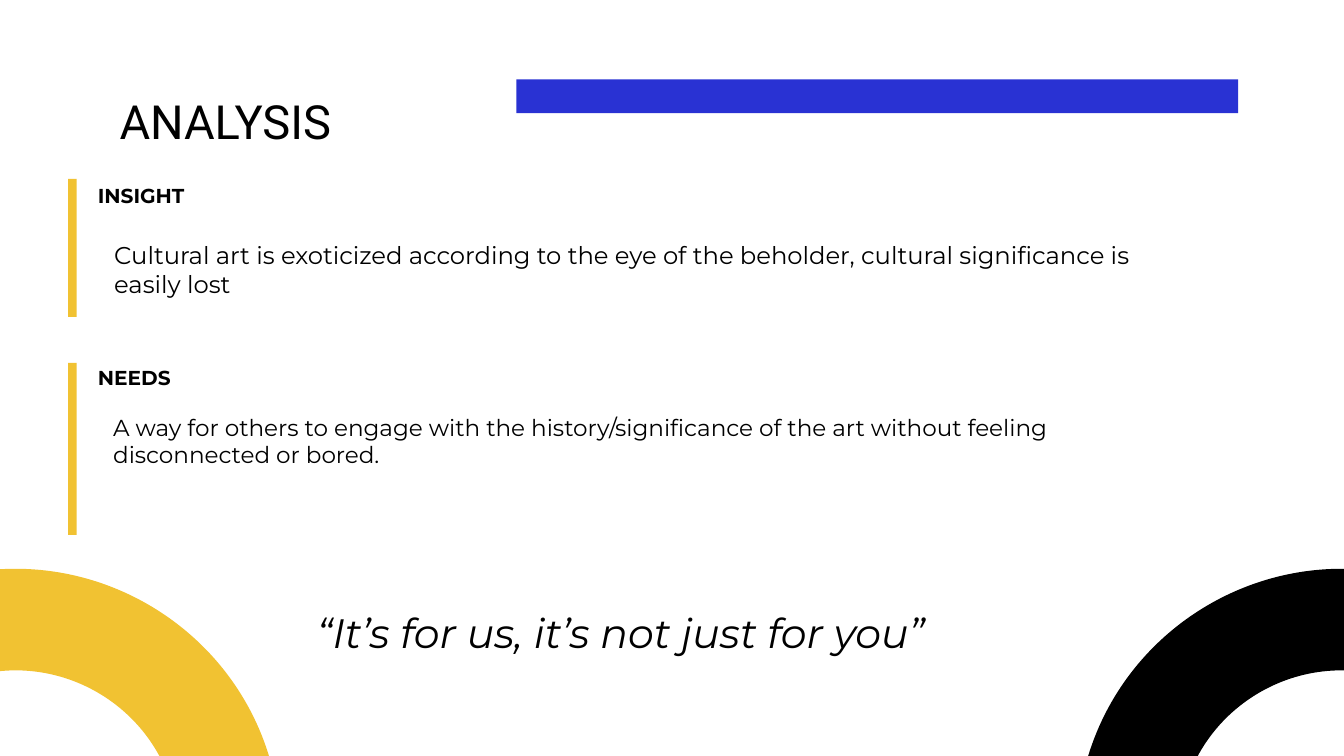
"""Build the analysis slide with its insight, needs and closing quote."""
import lxml.etree
import pptx
import pptx.dml.color
import pptx.enum.shapes
import pptx.enum.text
import pptx.oxml.ns
import pptx.util

Cm = pptx.util.Cm
BLACK = pptx.dml.color.RGBColor(0x00, 0x00, 0x00)
BLUE = pptx.dml.color.RGBColor(0x29, 0x32, 0xD3)
YELLOW = pptx.dml.color.RGBColor(0xF1, 0xC2, 0x32)


def write(tf, text, font="Montserrat", size=12, color=BLACK, bold=False, italic=False):
    p = tf.paragraphs[0]
    r = p.add_run()
    r.text = text
    r.font.name = font
    r.font.size = pptx.util.Pt(size)
    r.font.color.rgb = color
    r.font.bold = bold
    r.font.italic = italic


class SlideBuilder:
    inset = Cm(0.25)
    top = pptx.enum.text.MSO_ANCHOR.TOP
    middle = pptx.enum.text.MSO_ANCHOR.MIDDLE

    def __init__(self, s):
        self.s = s

    def paint(self, sp, color):
        sp.shadow.inherit = False
        sp.fill.solid()
        sp.fill.fore_color.rgb = color
        sp.line.fill.background()

    def bar(self, x, y, w, h, color):
        kind = pptx.enum.shapes.MSO_SHAPE.RECTANGLE
        sp = self.s.shapes.add_shape(kind, Cm(x), Cm(y), Cm(w), Cm(h))
        self.paint(sp, color)

    def quarter_ring(self, cx, cy, side, color, outer=5, inner=3.08, bend=0.55):
        arc = [(1, 0), (1, bend), (bend, 1), (0, 1)]
        curve = [(outer * u, outer * v) for u, v in arc]
        curve += [(inner * u, inner * v) for u, v in reversed(arc)]
        points = [(Cm(cx + side * u), Cm(cy - v)) for u, v in curve]
        builder = self.s.shapes.build_freeform(*points[0])
        builder.add_line_segments(points[1:], close=True)
        sp = builder.convert_to_shape()
        lines = list(sp.element.iter(pptx.oxml.ns.qn("a:lnTo")))
        for group in (lines[:3], lines[4:7]):
            bezier = lxml.etree.Element(pptx.oxml.ns.qn("a:cubicBezTo"))
            group[0].addprevious(bezier)
            for line in group:
                bezier.append(line[0])
                line.getparent().remove(line)
        sp.rotation = -15 * side % 360
        self.paint(sp, color)

    def text(self, x, y, w, h, text, anchor=top, **style):
        tf = self.s.shapes.add_textbox(Cm(x), Cm(y), Cm(w), Cm(h)).text_frame
        tf.word_wrap = True
        tf.vertical_anchor = anchor
        tf.margin_left = tf.margin_right = self.inset
        tf.margin_top = tf.margin_bottom = self.inset
        write(tf, text, **style)

    def section(self, y, bar_y, bar_h, heading):
        self.bar(1.29, bar_y, 0.16, bar_h, YELLOW)
        self.text(1.6, y, 6.35, 0.94, heading, size=10.8, bold=True)


def main():
    prs = pptx.Presentation()
    prs.slide_width, prs.slide_height = Cm(25.4), Cm(14.29)
    slide = SlideBuilder(prs.slides.add_slide(prs.slide_layouts[6]))

    slide.bar(9.76, 1.5, 13.64, 0.64, BLUE)
    slide.quarter_ring(26.08, 15.19, -1, BLACK)
    slide.quarter_ring(-0.43, 15.19, 1, YELLOW)
    slide.text(2.01, 1.49, 8.3, 1.6, "ANALYSIS", anchor=slide.middle, font="Roboto", size=25.2)

    slide.section(3.23, 3.38, 2.61, "INSIGHT")
    slide.text(1.91, 4.29, 19.8, 1.6,
               "Cultural art is exoticized according to the eye of the beholder, "
               "cultural significance is easily lost", size=13)
    slide.section(6.67, 6.86, 3.25, "NEEDS")
    slide.text(1.89, 7.56, 20.5, 1.6,
               "A way for others to engage with the history/significance of the art "
               "without feeling disconnected or bored.", size=12.4)
    slide.text(5.74, 11.23, 12.7, 1.42, "“It’s for us, it’s not just for you”",
               size=22, italic=True)

    prs.save("out.pptx")


if __name__ == "__main__":
    main()
